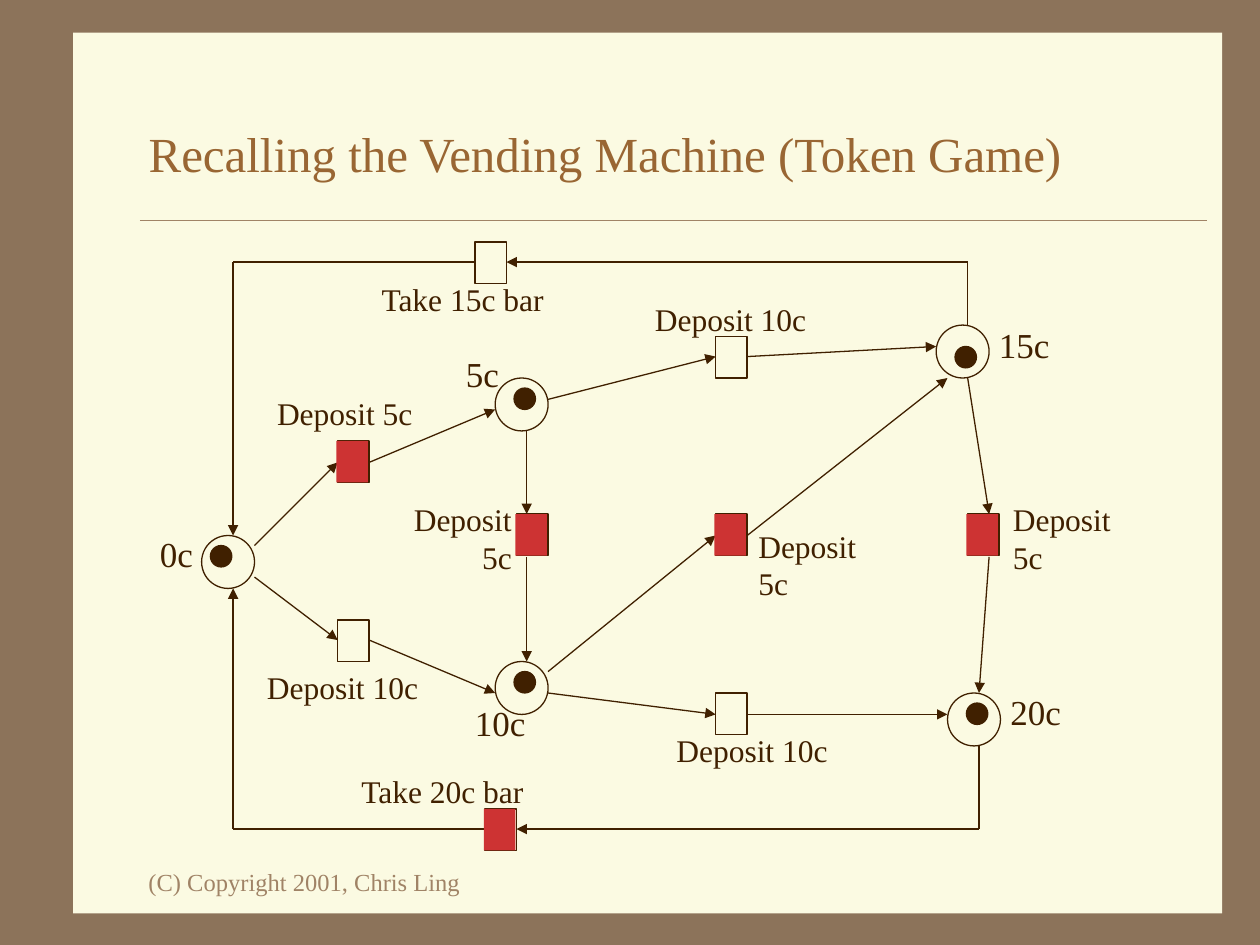
from typing import NamedTuple

from pptx import Presentation
from pptx.dml.color import RGBColor
from pptx.enum.shapes import MSO_CONNECTOR, MSO_SHAPE
from pptx.enum.text import MSO_ANCHOR, MSO_AUTO_SIZE, PP_ALIGN
from pptx.oxml.ns import qn
from pptx.util import Inches, Pt
from lxml import etree

RECT, OVAL = MSO_SHAPE.RECTANGLE, MSO_SHAPE.OVAL
STRAIGHT = MSO_CONNECTOR.STRAIGHT
LEFT, RIGHT = PP_ALIGN.LEFT, PP_ALIGN.RIGHT

FONT = "Times New Roman"
FRAME, PAPER, INK = "8C735A", "FBFAE2", "402000"
TITLE, MUTED, ENABLED = "996633", "A08366", "CD3333"

PLACE_SIZE, TOKEN_SIZE = 0.42, 0.17
BAR_WIDTH, BAR_HEIGHT = 0.25, 0.33
ENABLED_SHIFT = 0.01  # the red marker sits slightly left of its bar


class Label(NamedTuple):
    text: str
    left: float
    top: float
    width: float
    align: PP_ALIGN = LEFT


class Place(NamedTuple):
    left: float
    top: float
    token_left: float
    token_top: float
    label: Label


class Transition(NamedTuple):
    left: float
    top: float
    enabled: bool
    label: Label


PLACES = [
    Place(1.6, 4.25, 1.67, 4.33, Label("0c", 1.17, 4.18, 0.5)),
    Place(3.93, 3, 4.08, 3.08, Label("5c", 3.6, 2.75, 0.5)),
    Place(3.93, 5.25, 4.08, 5.33, Label("10c", 3.67, 5.52, 0.65)),
    Place(7.43, 2.58, 7.58, 2.75, Label("15c", 7.83, 2.52, 0.65)),
    Place(7.52, 5.5, 7.67, 5.58, Label("20c", 7.92, 5.43, 0.65)),
]

TRANSITIONS = [
    Transition(3.77, 1.92, False, Label("Take 15c bar", 2.93, 2.17, 1.6)),
    Transition(2.68, 3.5, True, Label("Deposit 5c", 2.1, 3.08, 1.35)),
    Transition(2.68, 4.92, False, Label("Deposit 10c", 2.02, 5.25, 1.5)),
    Transition(4.1, 4.08, True, Label("Deposit\n5c", 3.08, 3.92, 1.08, RIGHT)),
    Transition(5.68, 2.67, False, Label("Deposit 10c", 5.1, 2.33, 1.5)),
    Transition(5.68, 4.08, True, Label("Deposit\n5c", 5.92, 4.13, 1.05)),
    Transition(5.68, 5.5, False, Label("Deposit 10c", 5.27, 5.75, 1.5)),
    Transition(7.68, 4.08, True, Label("Deposit\n5c", 7.94, 3.92, 1.05)),
    Transition(3.85, 6.42, True, Label("Take 20c bar", 2.77, 6.08, 1.6)),
]

# Each arc is a chain of points, with the arrowhead at the last one
ARCS = [
    [(2.02, 4.33), (2.68, 3.67)],
    [(2.02, 4.58), (2.68, 5.08)],
    [(2.93, 3.67), (3.93, 3.25)],
    [(2.93, 5.08), (3.93, 5.5)],
    [(4.35, 3.17), (5.68, 2.83)],
    [(5.93, 2.83), (7.43, 2.75)],
    [(4.18, 3.42), (4.18, 4.08)],
    [(4.18, 4.42), (4.18, 5.25)],
    [(4.35, 5.33), (5.68, 4.25)],
    [(5.93, 4.25), (7.52, 3)],
    [(4.35, 5.5), (5.68, 5.67)],
    [(5.93, 5.67), (7.52, 5.67)],
    [(7.68, 3), (7.85, 4.08)],
    [(7.85, 4.42), (7.77, 5.5)],
    [(7.68, 2.58), (7.68, 2.08), (4.02, 2.08)],
    [(3.77, 2.08), (1.85, 2.08), (1.85, 4.25)],
    [(7.77, 5.92), (7.77, 6.58), (4.1, 6.58)],
    [(3.85, 6.58), (1.85, 6.58), (1.85, 4.67)],
]


def rgb(color: str) -> RGBColor:
    return RGBColor.from_string(color)


def style_font(paragraph, size: float, color: str) -> None:
    paragraph.font.name = FONT
    paragraph.font.size = Pt(size)
    paragraph.font.color.rgb = rgb(color)


def draw_shape(slide, kind, left: float, top: float, width: float, height: float,
               fill: str | None = None, line: str | None = None):
    shape = slide.shapes.add_shape(
        kind, Inches(left), Inches(top), Inches(width), Inches(height))
    shape.shadow.inherit = False
    if fill:
        shape.fill.solid()
        shape.fill.fore_color.rgb = rgb(fill)
    else:
        shape.fill.background()
    if line:
        shape.line.color.rgb = rgb(line)
        shape.line.width = Pt(0.75)
    else:
        shape.line.fill.background()
    return shape


def draw_line(slide, start: tuple, end: tuple, color: str = INK,
              width: float = 0.75, arrow: bool = False) -> None:
    line = slide.shapes.add_connector(STRAIGHT, *map(Inches, start + end))
    line.line.color.rgb = rgb(color)
    line.line.width = Pt(width)
    properties = line.element.spPr
    if arrow:
        etree.SubElement(properties.find(qn("a:ln")), qn("a:tailEnd"), type="triangle")
    etree.SubElement(properties, qn("a:effectLst"))


def draw_label(slide, label: Label, size: float, color: str = INK) -> None:
    line_count = len(label.text.split("\n"))
    height = 0.1 + line_count * size / 60
    box = slide.shapes.add_textbox(
        Inches(label.left), Inches(label.top), Inches(label.width), Inches(height))
    frame = box.text_frame
    frame.word_wrap = True
    frame.text = label.text
    for paragraph in frame.paragraphs:
        paragraph.alignment = label.align
        style_font(paragraph, size, color)


def draw_arc(slide, points: list) -> None:
    for index, (start, end) in enumerate(zip(points, points[1:]), start=2):
        draw_line(slide, start, end, arrow=index == len(points))


def draw_place(slide, place: Place) -> None:
    draw_shape(slide, OVAL, place.left, place.top, PLACE_SIZE, PLACE_SIZE, line=INK)
    draw_shape(slide, OVAL, place.token_left, place.token_top,
               TOKEN_SIZE, TOKEN_SIZE, fill=INK, line=INK)
    draw_label(slide, place.label, 20)


def draw_transition(slide, transition: Transition) -> None:
    left, top = transition.left, transition.top
    draw_shape(slide, RECT, left, top, BAR_WIDTH, BAR_HEIGHT, line=INK)
    if transition.enabled:
        draw_shape(slide, RECT, left - ENABLED_SHIFT, top, BAR_WIDTH, BAR_HEIGHT,
                   fill=ENABLED)
    draw_label(slide, transition.label, 18)


def main() -> None:
    deck = Presentation()
    deck.slide_width, deck.slide_height = Inches(10), Inches(7.5)
    slide = deck.slides.add_slide(deck.slide_layouts[5])

    # Frame, paper, rule and copyright line
    slide.background.fill.solid()
    slide.background.fill.fore_color.rgb = rgb(FRAME)
    paper = draw_shape(slide, RECT, 0.58, 0.26, 9.12, 6.99, fill=PAPER)
    draw_line(slide, (1.11, 1.75), (9.58, 1.75), MUTED, 0.25)
    draw_label(slide, Label("(C) Copyright 2001, Chris Ling", 1.08, 6.83, 3), 14, MUTED)

    # Title, brought in front of the paper
    title = slide.shapes.title
    paper.element.addnext(title.element)
    title.left, title.top = Inches(1.08), Inches(0.67)
    title.width, title.height = Inches(8.5), Inches(1.08)
    title.text_frame.text = "Recalling the Vending Machine (Token Game)"
    title.text_frame.auto_size = MSO_AUTO_SIZE.NONE
    title.text_frame.vertical_anchor = MSO_ANCHOR.MIDDLE
    heading = title.text_frame.paragraphs[0]
    heading.alignment = LEFT
    style_font(heading, 28, TITLE)

    # Petri net
    for arc in ARCS:
        draw_arc(slide, arc)
    for place in PLACES:
        draw_place(slide, place)
    for transition in TRANSITIONS:
        draw_transition(slide, transition)

    deck.save("out.pptx")


if __name__ == "__main__":
    main()
